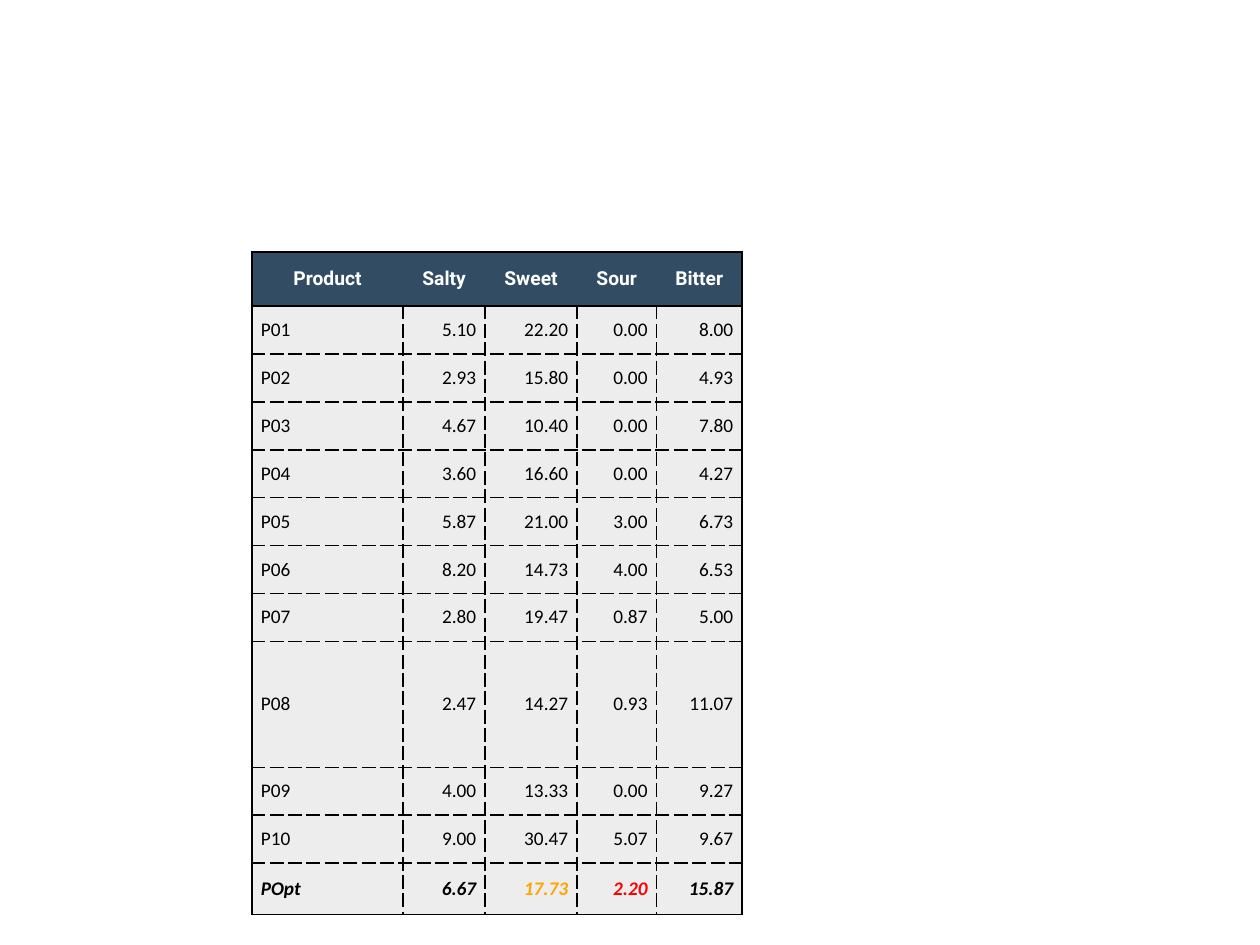
import dataclasses

import pptx
import pptx.dml.color
import pptx.enum.text
import pptx.oxml
import pptx.oxml.ns
import pptx.util

Inches = pptx.util.Inches
Align = pptx.enum.text.PP_ALIGN


@dataclasses.dataclass(frozen=True)
class Theme:
    """Colours, fonts and sizes of the slide."""
    header_fill: str = "324C63"
    body_fill: str = "EDEDED"
    header_text: str = "FFFFFF"
    body_text: str = "000000"
    caution: str = "FFA500"
    alert: str = "FF0000"
    border: str = "000000"
    header_font: str = "Roboto"
    body_font: str = "Calibri"
    text_size: int = 11
    spacing: int = 5
    border_width: int = 1
    text_inset: float = 0.07


HEADINGS = ["Product", "Salty", "Sweet", "Sour", "Bitter"]
SCORES = {
    "P01": (5.10, 22.20, 0.00, 8.00),
    "P02": (2.93, 15.80, 0.00, 4.93),
    "P03": (4.67, 10.40, 0.00, 7.80),
    "P04": (3.60, 16.60, 0.00, 4.27),
    "P05": (5.87, 21.00, 3.00, 6.73),
    "P06": (8.20, 14.73, 4.00, 6.53),
    "P07": (2.80, 19.47, 0.87, 5.00),
    "P08": (2.47, 14.27, 0.93, 11.07),
    "P09": (4.00, 13.33, 0.00, 9.27),
    "P10": (9.00, 30.47, 5.07, 9.67),
    "POpt": (6.67, 17.73, 2.20, 15.87),
}
OPTIMUM = "POpt"
COLUMN_WIDTHS = [1.2, 0.65, 0.73, 0.63, 0.68]
HEADER_HEIGHT, PRODUCT_HEIGHT = 0.43, 0.38
SPECIAL_HEIGHTS = {"P08": 1, OPTIMUM: 0.41}


def assign(target, values):
    """Set each attribute of target from a dict."""
    for name, value in values.items():
        setattr(target, name, value)


class SlideBuilder:
    """Holds the theme and the current slide."""

    def __init__(self, slide, theme):
        self.slide = slide
        self.theme = theme

    def table(self, left, top, width, height, contents, widths, heights):
        """Add a table with bordered, formatted cells."""
        frame = self.slide.shapes.add_table(
            len(contents), len(widths), Inches(left), Inches(top), Inches(width), Inches(height))
        grid = frame.table
        assign(grid, {"first_row": False, "horz_banding": False})
        for column, size in zip(grid.columns, widths):
            column.width = Inches(size)
        for row, size in zip(grid.rows, heights):
            row.height = Inches(size)
        assign(frame, {"width": Inches(width), "height": Inches(height)})
        last_row, last_column = len(contents) - 1, len(widths) - 1
        for r, texts in enumerate(contents):
            for c, text in enumerate(texts):
                cell = grid.cell(r, c)
                self.cell(cell, text, r == 0, c, texts[0] == OPTIMUM)
                inner = None if r == 0 else "sysDash"
                self.borders(cell, {
                    "L": "solid" if c == 0 else inner,
                    "R": "solid" if c == last_column else inner,
                    "T": "solid" if r <= 1 else "sysDash",
                    "B": "solid" if r in (0, last_row) else "sysDash",
                })

    def cell(self, cell, text, is_header, column, is_optimum):
        """Write and format the text of one cell."""
        theme = self.theme
        assign(cell, {"margin_left": 0, "margin_right": 0, "margin_top": 0, "margin_bottom": 0,
                      "vertical_anchor": pptx.enum.text.MSO_ANCHOR.MIDDLE})
        cell.fill.solid()
        cell.fill.fore_color.rgb = pptx.dml.color.RGBColor.from_string(
            theme.header_fill if is_header else theme.body_fill)

        paragraph = cell.text_frame.paragraphs[0]
        body_align = Align.LEFT if column == 0 else Align.RIGHT
        assign(paragraph, {"alignment": Align.CENTER if is_header else body_align,
                           "space_before": pptx.util.Pt(theme.spacing),
                           "space_after": pptx.util.Pt(theme.spacing)})
        inset = str(Inches(theme.text_inset))
        properties = paragraph._p.get_or_add_pPr()
        for side in ("marL", "marR"):
            properties.set(side, inset)
        properties.set("indent", "0")

        run = paragraph.add_run()
        run.text = text
        assign(run.font, {"size": pptx.util.Pt(theme.text_size),
                          "name": theme.header_font if is_header else theme.body_font,
                          "bold": is_header or is_optimum, "italic": is_optimum})
        highlights = {2: theme.caution, 3: theme.alert} if is_optimum else {}
        colour = theme.header_text if is_header else highlights.get(column, theme.body_text)
        run.font.color.rgb = pptx.dml.color.RGBColor.from_string(colour)

    def borders(self, cell, dashes):
        """Draw the cell edges; a dash of None hides the edge."""
        properties = cell._tc.get_or_add_tcPr()
        width = pptx.util.Pt(self.theme.border_width)
        for position, (side, dash) in enumerate(dashes.items()):
            paint = "<a:noFill/>"
            if dash:
                paint = (f'<a:solidFill><a:srgbClr val="{self.theme.border}"/></a:solidFill>'
                         f'<a:prstDash val="{dash}"/>')
            properties.insert(position, pptx.oxml.parse_xml(
                f'<a:ln{side} {pptx.oxml.ns.nsdecls("a")} w="{width}">{paint}</a:ln{side}>'))


def main():
    """Build the taste score slide."""
    deck = pptx.Presentation()
    assign(deck, {"slide_width": Inches(10), "slide_height": Inches(7.5)})
    builder = SlideBuilder(deck.slides.add_slide(deck.slide_layouts[6]), Theme())
    contents = [HEADINGS] + [
        [product] + [f"{score:.2f}" for score in scores] for product, scores in SCORES.items()]
    heights = [HEADER_HEIGHT] + [
        SPECIAL_HEIGHTS.get(product, PRODUCT_HEIGHT) for product in SCORES]
    builder.table(2, 2, 4, 3, contents, COLUMN_WIDTHS, heights)
    deck.save("out.pptx")


main()
